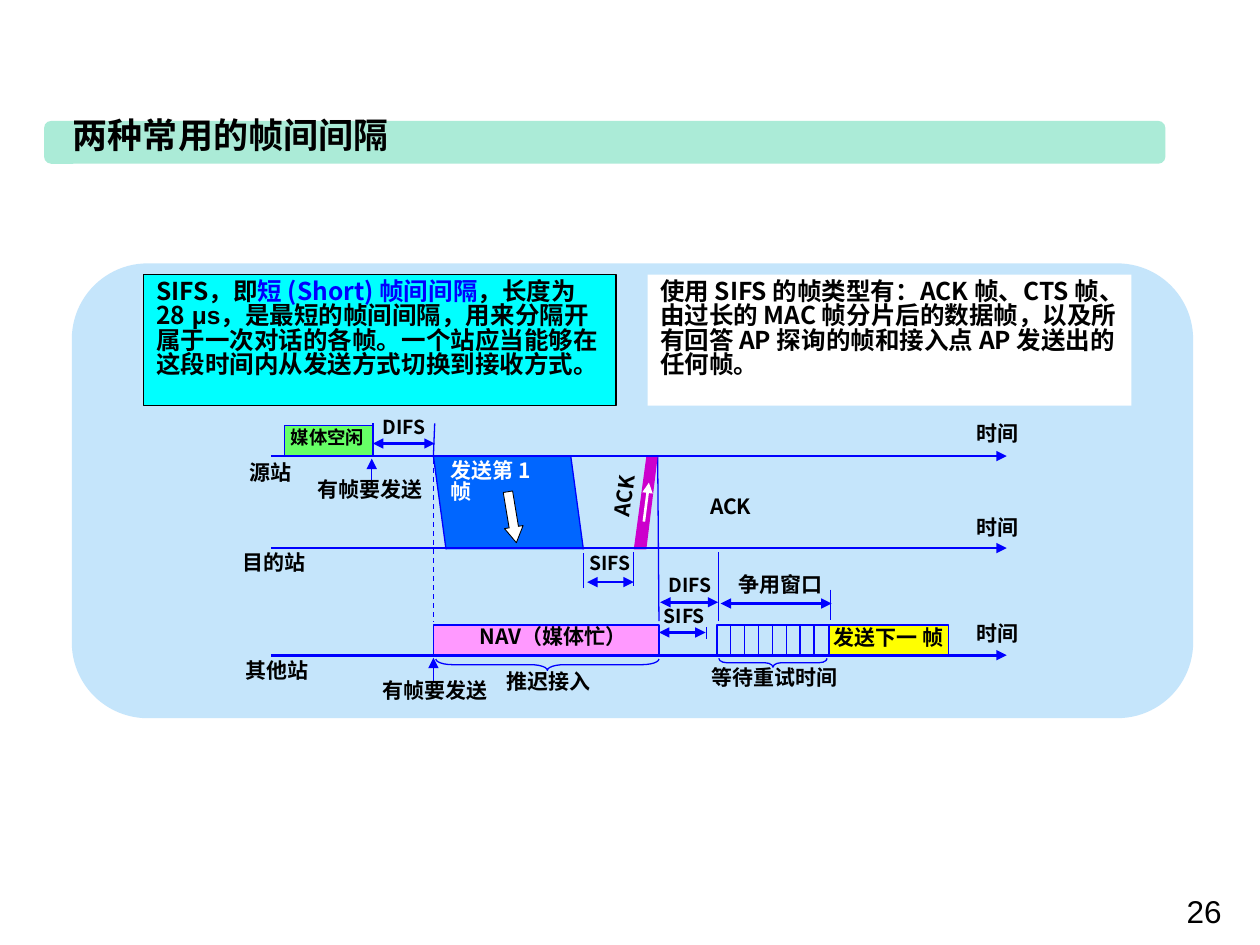
from lxml import etree
from pptx import Presentation
from pptx import util as u
from pptx.dml.color import RGBColor
from pptx.enum import dml, shapes, text
from pptx.oxml.ns import qn

HUE = {
    "black": "000000", "white": "FFFFFF", "blue": "0000FF", "grey": "B2B2B2",
    "panel": "C5E5FB", "bar": "ABEBD7", "frame": "0066FF", "idle": "66FF66",
    "nav": "FF99FF", "next": "FFFF00", "ack": "CC00CC", "cyan": "00FFFF",
}
CJK = "Noto Sans CJK SC"
KIND = shapes.MSO_SHAPE
LEFT, MID = text.PP_ALIGN.LEFT, text.PP_ALIGN.CENTER


def rgb(name):
    return RGBColor.from_string(HUE[name])


class Pen:
    """Holds the slide and its style; each method draws one kind of element."""

    def __init__(self, slide):
        self.slide = slide
        self.all = slide.shapes

    def paint(self, item, fill, line, width):
        item.shadow.inherit = False
        if fill:
            item.fill.solid()
            item.fill.fore_color.rgb = rgb(fill)
        else:
            item.fill.background()
        if line:
            item.line.color.rgb = rgb(line)
            item.line.width = u.Pt(width)
        else:
            item.line.fill.background()

    def shape(self, kind, box, fill=None, line=None, width=0.75, adj=(), turn=0):
        item = self.all.add_shape(kind, *map(u.Inches, box))
        for i, value in enumerate(adj):
            item.adjustments[i] = value
        item.rotation = turn
        self.paint(item, fill, line, width)
        return item

    def free(self, dots, fill=None, line=None, close=False):
        dots = [(u.Inches(x), u.Inches(y)) for x, y in dots]
        path = self.all.build_freeform(*dots[0])
        path.add_line_segments(dots[1:], close=close)
        self.paint(path.convert_to_shape(), fill, line, 0.75)

    def slot(self, x, end, fill):
        """A box standing on the lowest axis, open at its foot."""
        self.free([(x, 5.2), (x, 4.96), (end, 4.96), (end, 5.2)], fill, "blue")

    def line(self, x1, y1, x2, y2, hue="blue", width=0.75, ends="", dash=False):
        """ends lists the arrowheads: 'head' at the start, 'tail' at the end."""
        item = self.all.add_connector(
            shapes.MSO_CONNECTOR.STRAIGHT, *map(u.Inches, (x1, y1, x2, y2)))
        item.line.color.rgb = rgb(hue)
        item.line.width = u.Pt(width)
        if dash:
            item.line.dash_style = dml.MSO_LINE.DASH
        props = item._element.spPr
        for end in ends.split():
            etree.SubElement(props.find(qn("a:ln")), qn(f"a:{end}End"), type="triangle")
        etree.SubElement(props, qn("a:effectLst"))

    def span(self, x1, x2, y):
        self.line(x1, y, x2, y, width=1.5, ends="head tail")

    def font(self, run, size, hue, face=CJK, bold=True):
        run.font.size = u.Pt(size)
        run.font.bold = bold
        run.font.color.rgb = rgb(hue)
        run.font.name = face
        etree.SubElement(run._r.get_or_add_rPr(), qn("a:ea"), typeface=face)

    def label(self, words, box, size=12, hue="black", align=LEFT, wrap=False, turn=0):
        item = self.all.add_textbox(*map(u.Inches, box))
        item.rotation = turn
        frame = item.text_frame
        frame.word_wrap = wrap
        frame.text = words
        para = frame.paragraphs[0]
        para.alignment = align
        para.line_spacing = 0.83
        self.font(para.runs[0], size, hue)
        return para

    def note(self, box, fill, line, parts):
        """A filled box of text; parts are (words, colour, font)."""
        frame = self.shape(KIND.RECTANGLE, box, fill, line).text_frame
        frame.word_wrap = True
        frame.vertical_anchor = text.MSO_ANCHOR.TOP
        para = frame.paragraphs[0]
        para.alignment = LEFT
        para.line_spacing = 0.83
        for words, hue, face in parts:
            run = para.add_run()
            run.text = words
            self.font(run, 14, hue, face)


def main():
    deck = Presentation()
    deck.slide_width, deck.slide_height = u.Inches(10), u.Inches(7.5)
    pen = Pen(deck.slides.add_slide(deck.slide_layouts[6]))

    # Page number, panel and title
    page = pen.label("26", (9.32, 7.03, 0.64, 0.4))
    page.line_spacing = 1.0
    pen.font(page.runs[0], 18, "black", "Arial", False)
    pen.shape(KIND.ROUNDED_RECTANGLE, (0.57, 2.09, 8.9, 3.61), "panel")
    pen.shape(KIND.ROUNDED_RECTANGLE, (0.35, 0.96, 8.9, 0.34), "bar", adj=[0.167])
    pen.label("两种常用的帧间间隔", (0.48, 0.91, 2.81, 0.44), 20)

    # Boxes on the axes
    pen.free([(3.44, 3.62), (3.54, 4.36), (4.63, 4.36), (4.53, 3.62)],
             "frame", close=True)
    pen.free([(2.26, 3.62), (2.26, 3.38), (2.96, 3.38), (2.96, 3.62)], "idle", "blue")
    pen.slot(3.44, 5.23, "nav")
    pen.slot(6.58, 7.53, "next")
    pen.free([(5.69, 5.2), (5.69, 4.96), (6.58, 4.96)], line="blue")
    for i in range(1, 8):
        x = 5.69 + 0.11 * i
        pen.line(x, 4.96, x, 5.2)

    # Edges of the frames and limits of the gaps
    for mark in [
        (2.96, 3.36, 2.96, 3.49), (3.44, 3.62, 3.45, 3.36),
        (4.63, 4.67, 4.63, 4.39), (5.03, 4.38, 5.03, 4.65),
        (5.7, 4.38, 5.7, 4.93), (6.59, 4.68, 6.59, 4.92),
        (5.22, 3.62, 5.23, 4.93), (5.61, 4.98, 5.61, 5.07),
        (3.44, 3.62, 3.54, 4.36), (4.53, 3.62, 4.63, 4.36),
    ]:
        pen.line(*mark)
    pen.line(3.44, 3.64, 3.44, 4.93, dash=True)
    for gap in [(2.96, 3.45, 3.52), (5.24, 5.7, 4.78), (5.72, 6.6, 4.79),
                (4.66, 5.03, 4.62), (5.23, 5.6, 5.02)]:
        pen.span(*gap)

    # Moments when a frame is ready, and the braces
    pen.line(2.95, 3.83, 2.95, 3.64, ends="tail")
    pen.line(3.44, 5.41, 3.44, 5.22, ends="tail")
    for box, bend in [((4.3, 4.39, 0.09, 1.77), 1.483), ((6.1, 4.83, 0.07, 0.86), 0.924)]:
        pen.shape(KIND.LEFT_BRACE, box, line="blue", adj=[bend, 0.5], turn=270)

    # ACK frame, time axes and direction arrows
    pen.free([(5.13, 3.62), (5.03, 4.36), (5.13, 4.36), (5.22, 3.62)],
             "ack", close=True)
    for y, top in [(3.62, 3.32), (4.35, 4.07), (5.2, 4.91)]:
        pen.line(2.15, y, 7.99, y, width=1.5, ends="tail")
        pen.label("时间", (7.65, top, 0.54, 0.3))
    pen.line(5.11, 4.14, 5.15, 3.83, "white", 1.5, "tail")
    pen.shape(KIND.DOWN_ARROW, (3.99, 3.9, 0.15, 0.41), "white", "black", 0.5,
              [0.5, 0.835], 350.6)

    # Labels
    for words, x, y, wide in [("DIFS", 2.94, 3.28, 0.56), ("DIFS", 5.21, 4.53, 0.56),
                              ("SIFS", 4.58, 4.36, 0.53), ("SIFS", 5.17, 4.78, 0.53)]:
        pen.label(words, (x, y, wide, 0.29), 11)
    for words, x, y, wide in [
        ("NAV（媒体忙）", 3.71, 4.93, 1.42), ("推迟接入", 3.92, 5.29, 0.88),
        ("等待重试时间", 5.55, 5.26, 1.21), ("争用窗口", 5.76, 4.52, 0.88),
        ("发送下一 帧", 6.52, 4.94, 1.09),
    ]:
        pen.label(words, (x, y, wide, 0.3))
    for words, x, y, wide in [
        ("源站", 1.88, 3.63, 0.54), ("目的站", 1.82, 4.35, 0.71),
        ("其他站", 1.84, 5.2, 0.71), ("有帧要发送", 2.42, 3.77, 1.04),
        ("有帧要发送", 2.93, 5.36, 1.04), ("ACK", 5.52, 3.9, 0.56),
    ]:
        pen.label(words, (x, y, wide, 0.3), align=MID)
    pen.label("ACK", (4.71, 3.77, 0.56, 0.3), turn=277.1)
    pen.label("媒体空闲", (2.21, 3.36, 0.8, 0.28), 10.5, wrap=True)
    pen.label("发送第 1 帧", (3.48, 3.62, 1, 0.5), hue="white", wrap=True)

    # Explanations
    pen.note((1.14, 2.18, 3.75, 1.04), "cyan", "black", [
        ("SIFS，即", "black", CJK),
        ("短 (Short) 帧间间隔", "blue", CJK),
        ("，长度为28", "black", CJK),
        (" μs", "black", "Arial"),
        ("，是最短的帧间间隔，用来分隔开属于一次对话的各帧。"
         "一个站应当能够在这段时间内从发送方式切换到接收方式。", "black", CJK),
    ])
    pen.note((5.14, 2.18, 3.84, 1.04), "white", None, [
        ("使用 SIFS 的帧类型有：ACK 帧、CTS 帧、由过长的 MAC 帧分片后的数据帧，"
         "以及所有回答 AP 探询的帧和接入点 AP 发送出的任何帧。", "black", CJK),
    ])

    deck.save("out.pptx")


if __name__ == "__main__":
    main()
